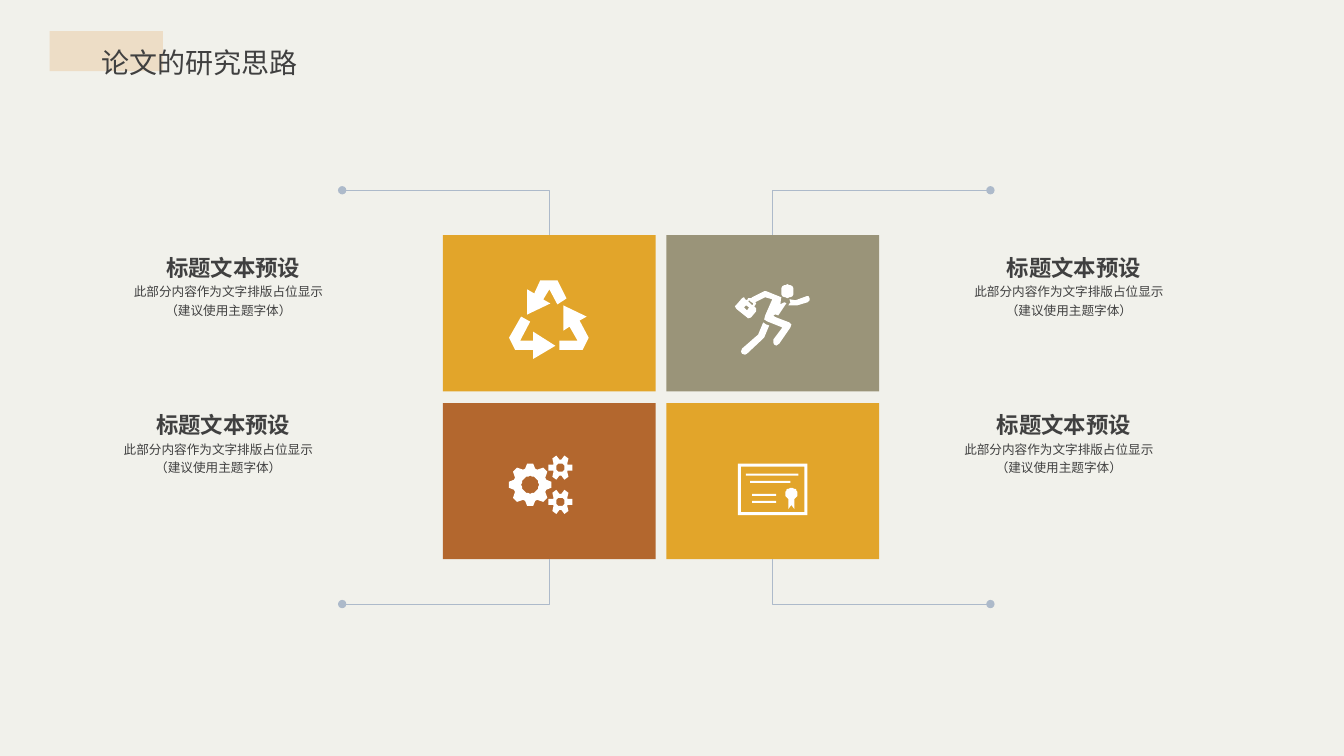
from copy import deepcopy
from math import cos, pi, radians, sin

from lxml.etree import SubElement
from pptx import Presentation
from pptx.dml.color import RGBColor
from pptx.enum.shapes import MSO_CONNECTOR, MSO_SHAPE
from pptx.enum.text import MSO_ANCHOR, MSO_AUTO_SIZE, PP_ALIGN
from pptx.oxml.ns import qn
from pptx.util import Pt

BACKGROUND = RGBColor(0xF1, 0xF1, 0xEB)
SAND = RGBColor(0xED, 0xDD, 0xC6)
AMBER = RGBColor(0xE2, 0xA5, 0x2A)
OLIVE = RGBColor(0x9A, 0x94, 0x79)
RUST = RGBColor(0xB3, 0x67, 0x2E)
STEEL = RGBColor(0xAD, 0xBA, 0xCA)
WHITE = RGBColor(0xFF, 0xFF, 0xFF)
DARK = RGBColor(0x40, 0x40, 0x40)
FONT = "Noto Sans CJK SC"

TILE_LEFT, TILE_TOP = 316.4, 167.9
TILE_WIDTH, TILE_HEIGHT = 152, 111.6
COLUMN_STEP, ROW_STEP = 159.6, 120
BRANCH_HEIGHT = 32
DOT_X = (244.4, 707.5)
TILE_COLORS = ((AMBER, OLIVE), (RUST, AMBER))
CAPTION_LEFT = ((88.6, 689), (81.4, 681.8))
CAPTION_TOP = (167.8, 280.1)
ICON_UNIT = 0.72

RECYCLE = [
    [(48, 0), (31, 0), (25, 13), (18, 9), (18, 34), (41, 23), (34, 19), (40, 9),
     (48, 24), (57, 18)],
    [(24, 60), (11, 60), (21, 41), (12, 36), (0, 57), (6, 69), (24, 69), (24, 78),
     (46, 65), (24, 51)],
    [(70, 40), (77, 36), (54, 25), (54, 50), (60, 46), (68, 60), (50, 60), (50, 69),
     (73, 69), (79, 57)],
]
RUNNER_ARM = [(74, 14), (73, 12), (71, 12), (60, 16), (54, 15), (55, 18), (53, 21),
              (60, 21), (62, 21), (72, 18), (74, 16)]
RUNNER_BODY = [
    (54, 38), (41, 33), (39, 32), (38, 31), (40, 30), (43, 31), (51, 19), (49, 18),
    (45, 20), (46, 13), (41, 11), (31, 7), (29, 7), (17, 13), (16, 14), (13, 14),
    (12, 16), (10, 15), (9, 13), (7, 14), (1, 21), (0, 22), (1, 24), (2, 25),
    (12, 33), (13, 34), (16, 33), (21, 27), (21, 24), (20, 23), (19, 22), (20, 21),
    (21, 19), (20, 18), (30, 13), (37, 15), (30, 31), (29, 35), (32, 37), (47, 43),
    (38, 55), (38, 58), (39, 60), (41, 61), (44, 59), (55, 43), (56, 40)]
RUNNER_LEG = [(28, 38), (23, 50), (7, 64), (6, 67), (7, 69), (10, 70), (12, 69),
              (28, 54), (29, 53), (34, 41), (31, 40)]
CASE_HANDLE = [(18, 20), (17, 21), (13, 17), (14, 16), (15, 17), (18, 19)]
CASE_CLASP = [(12, 26), (9, 23), (11, 21), (14, 23)]


def arc(center_x, center_y, radius, start=0, end=360, steps=24):
    """Points along a circle, with angles in degrees clockwise from the right."""
    angles = [radians(start + (end - start) * i / steps) for i in range(steps)]
    return [(center_x + radius * cos(a), center_y + radius * sin(a)) for a in angles]


def bar(left, top, width, height):
    """Corner points of a rectangle."""
    right, bottom = left + width, top + height
    return [(left, top), (right, top), (right, bottom), (left, bottom)]


def gear(center_x, center_y, tip, root, teeth, hole):
    """Outline and hole of a gear wheel."""
    pitch = 2 * pi / teeth
    profile = ((-0.4, root), (-0.2, tip), (0.2, tip), (0.4, root))
    outline = [(center_x + radius * cos((tooth + shift) * pitch),
                center_y + radius * sin((tooth + shift) * pitch))
               for tooth in range(teeth) for shift, radius in profile]
    return [outline, arc(center_x, center_y, hole)]


def runner():
    return [RUNNER_ARM, CASE_HANDLE, CASE_CLASP, RUNNER_BODY, RUNNER_LEG,
            arc(52, 7, 6.5)]


def gears():
    return (gear(21, 29, 21.3, 16.5, 8, 8.7) + gear(51, 12, 12.7, 8.2, 6, 4.2)
            + gear(51, 46, 12.7, 8.2, 6, 4.2))


def certificate():
    ribbon = arc(53, 30, 6, 120, 420) + [(56, 35), (56, 45), (53, 41), (50, 45)]
    return [bar(0, 0, 69, 51), bar(3, 3, 63, 45), bar(8, 10, 52, 2),
            bar(12, 17, 40, 2), bar(14, 30, 24, 2), bar(14, 37, 24, 2), ribbon]


def paint(shape, color):
    shape.shadow.inherit = False
    shape.fill.solid()
    shape.fill.fore_color.rgb = color
    shape.line.fill.background()


def add_rectangle(shapes, left, top, width, height, color):
    shape = shapes.add_shape(MSO_SHAPE.RECTANGLE, Pt(left), Pt(top), Pt(width), Pt(height))
    paint(shape, color)


def add_icon(shapes, left, top, outlines):
    """Draw closed outlines as one white shape; inner outlines become holes."""
    builder = shapes.build_freeform(*outlines[0][0], scale=Pt(ICON_UNIT))
    for number, outline in enumerate(outlines):
        if number:
            builder.move_to(*outline[0])
        builder.add_line_segments(outline[1:], close=True)
    paint(builder.convert_to_shape(Pt(left), Pt(top)), WHITE)


def add_branch(shapes, dot_x, dot_y, tile_x, tile_y):
    """Right-angled line from a round dot to a tile edge."""
    connector = shapes.add_connector(
        MSO_CONNECTOR.ELBOW, Pt(dot_x), Pt(dot_y), Pt(tile_x), Pt(tile_y))
    connector.line.color.rgb = STEEL
    connector.line.width = Pt(0.75)
    properties = connector._element.spPr
    properties.find(qn("a:prstGeom")).set("prst", "bentConnector2")
    SubElement(properties.find(qn("a:ln")), qn("a:headEnd"), type="oval")
    SubElement(properties, qn("a:effectLst"))


def add_text(shapes, text, left, top, width, height, size, bold=False,
             align=PP_ALIGN.CENTER, anchor=MSO_ANCHOR.TOP, spacing=None,
             wrap=True, inset=True, grow=False):
    box = shapes.add_textbox(Pt(left), Pt(top), Pt(width), Pt(height))
    frame = box.text_frame
    frame.word_wrap = wrap
    frame.vertical_anchor = anchor
    if grow:
        frame.auto_size = MSO_AUTO_SIZE.SHAPE_TO_FIT_TEXT
    if not inset:
        frame.margin_left = frame.margin_right = Pt(0)
        frame.margin_top = frame.margin_bottom = Pt(0)
    paragraph = frame.paragraphs[0]
    paragraph.text = text
    paragraph.alignment = align
    paragraph.line_spacing = spacing
    for run in paragraph.runs:
        run.font.size = Pt(size)
        run.font.bold = bold
        run.font.color.rgb = DARK
        run.font.name = FONT
        SubElement(run.font._element, qn("a:ea"), typeface=FONT)
    for line_break in paragraph._p.findall(qn("a:br")):
        line_break.append(deepcopy(paragraph.runs[0].font._element))


def add_caption(shapes, left, top):
    group = shapes.add_group_shape()
    add_text(group.shapes, "标题文本预设", left, top, 156.2, 33.1, 16, bold=True,
             anchor=MSO_ANCHOR.BOTTOM, wrap=False, inset=False)
    add_text(group.shapes, "此部分内容作为文字排版占位显示\n（建议使用主题字体）",
             left, top + 33.1, 149, 23, 9, spacing=1.2, inset=False)


def main():
    presentation = Presentation()
    presentation.slide_width, presentation.slide_height = Pt(960), Pt(540)
    slide = presentation.slides.add_slide(presentation.slide_layouts[6])
    slide.background.fill.solid()
    slide.background.fill.fore_color.rgb = BACKGROUND
    shapes = slide.shapes

    add_rectangle(shapes, 35.4, 22.2, 81, 28.6, SAND)
    add_text(shapes, "论文的研究思路", 65.5, 17.3, 252, 39.6, 20,
             align=PP_ALIGN.JUSTIFY, spacing=1.5, grow=True)

    for row in range(2):
        for column in range(2):
            left = TILE_LEFT + column * COLUMN_STEP
            top = TILE_TOP + row * ROW_STEP
            add_rectangle(shapes, left, top, TILE_WIDTH, TILE_HEIGHT,
                          TILE_COLORS[row][column])
            edge = top + row * TILE_HEIGHT
            dot_y = edge + (BRANCH_HEIGHT if row else -BRANCH_HEIGHT)
            add_branch(shapes, DOT_X[column], dot_y, left + TILE_WIDTH / 2, edge)

    add_icon(shapes, 363.6, 200.2, RECYCLE)
    add_icon(shapes, 527.1, 331.2, certificate())
    add_icon(shapes, 363.6, 325.4, gears())
    add_icon(shapes, 525, 203, runner())

    for row in range(2):
        for column in range(2):
            add_caption(shapes, CAPTION_LEFT[row][column], CAPTION_TOP[row])

    presentation.save("out.pptx")


if __name__ == "__main__":
    main()
